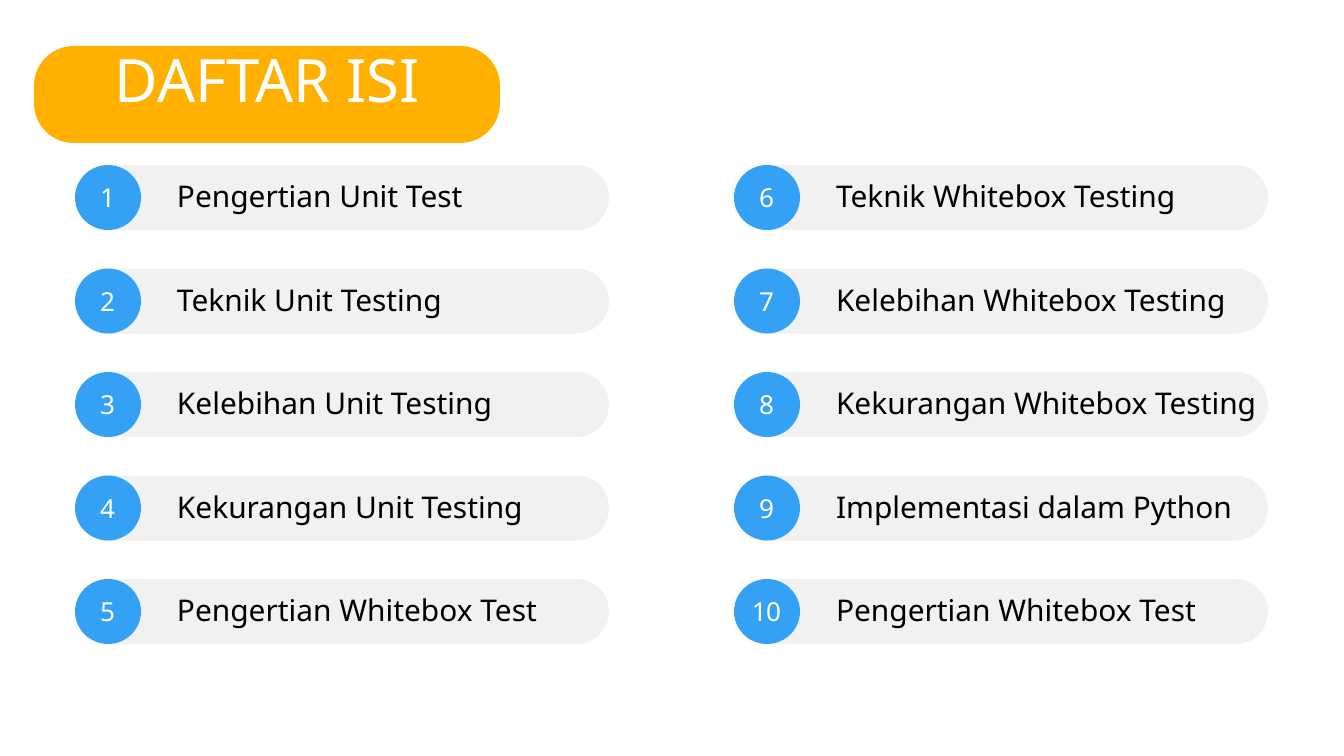
import math
from dataclasses import dataclass

from pptx import Presentation, util as u
from pptx.dml.color import RGBColor
from pptx.enum import shapes, text

PX = 914400 / 67.2


@dataclass(frozen=True)
class Theme:
    """Colours, font and type sizes of the deck."""
    font: str = "Noto Sans"
    amber: str = "FFB001"
    blue: str = "35A1F4"
    grey: str = "F1F1F1"
    white: str = "FFFFFF"
    black: str = "000000"
    title: int = 64
    item: int = 32
    number: int = 28


T = Theme()


def px(*lengths):
    """Turn pixels into EMU."""
    return [u.Emu(round(n * PX)) for n in lengths]


def paint(sp, color):
    """Give a shape a plain fill without line or shadow."""
    sp.fill.solid()
    sp.fill.fore_color.rgb = RGBColor.from_string(color)
    sp.line.fill.background()
    sp.shadow.inherit = False
    return sp


def add_text(s, content, box, *, size, color, leading, inset=0, spacing=0,
             align=text.PP_ALIGN.LEFT, anchor=text.MSO_ANCHOR.TOP):
    """Add a one-paragraph text box."""
    tf = s.shapes.add_textbox(*px(*box)).text_frame
    tf.word_wrap = True
    tf.vertical_anchor = anchor
    tf.margin_left = tf.margin_right = tf.margin_top = tf.margin_bottom = px(inset)[0]
    p = tf.paragraphs[0]
    p.alignment = align
    p.line_spacing = u.Pt(leading)
    r = p.add_run()
    r.text = content
    r.font.name = T.font
    r.font.size = u.Pt(size)
    r.font.color.rgb = RGBColor.from_string(color)
    if spacing:
        r._r.get_or_add_rPr().set("spc", str(round(spacing * 100)))


def add_bar(s, x, y, w, h):
    """Draw a grey bar with a square left end and a round right end."""
    radius = h / 2
    angles = [math.radians(a) for a in range(-90, 91, 5)]
    arc = [(x + w - radius + radius * math.cos(a), y + radius + radius * math.sin(a))
           for a in angles]
    outline = s.shapes.build_freeform(*px(x, y), scale=1.0)
    outline.add_line_segments([px(*point) for point in arc + [(x, y + h)]])
    paint(outline.convert_to_shape(), T.grey)


def add_title(s, content, x, y, w, h):
    """Draw the rounded title plate and its heading."""
    plate = s.shapes.add_shape(shapes.MSO_SHAPE.ROUNDED_RECTANGLE, *px(x, y, w, h))
    plate.adjustments[0] = 0.41
    paint(plate, T.amber)
    add_text(s, content, (x, y - 44, w, h + 44), size=T.title, color=T.white,
             leading=T.title * 1.4, inset=4, align=text.PP_ALIGN.CENTER,
             anchor=text.MSO_ANCHOR.MIDDLE)


def add_item(s, number, label, x, y, w, h):
    """Draw one numbered entry of the contents."""
    add_bar(s, x + 28, y, w - 28, h)
    paint(s.shapes.add_shape(shapes.MSO_SHAPE.OVAL, *px(x, y, 66, h)), T.blue)
    add_text(s, str(number), (x + 6, y + 11, 53, 48), size=T.number, color=T.white,
             leading=T.number, inset=4, spacing=-0.6, align=text.PP_ALIGN.CENTER,
             anchor=text.MSO_ANCHOR.MIDDLE)
    add_text(s, label, (x + 102, y + 7, w - 102, 40), size=T.item, color=T.black,
             leading=T.item * 1.4)


def add_contents(s, labels, x, y, w, h, rows=5, item_w=534, item_h=65):
    """Spread the entries over two columns of equal rows."""
    for i, label in enumerate(labels):
        col, row = divmod(i, rows)
        add_item(s, i + 1, label, x + col * (w - item_w),
                 y + row * (h - item_h) / (rows - 1), item_w, item_h)


LABELS = [
    "Pengertian Unit Test",
    "Teknik Unit Testing",
    "Kelebihan Unit Testing",
    "Kekurangan Unit Testing",
    "Pengertian Whitebox Test",
    "Teknik Whitebox Testing",
    "Kelebihan Whitebox Testing",
    "Kekurangan Whitebox Testing",
    "Implementasi dalam Python",
    "Pengertian Whitebox Test",
]

prs = Presentation()
prs.slide_width, prs.slide_height = px(1344, 756)
s = prs.slides.add_slide(prs.slide_layouts[6])
add_title(s, "DAFTAR ISI", 34, 46, 466, 97)
add_contents(s, LABELS, 75, 165, 1193, 479)
prs.save("out.pptx")
